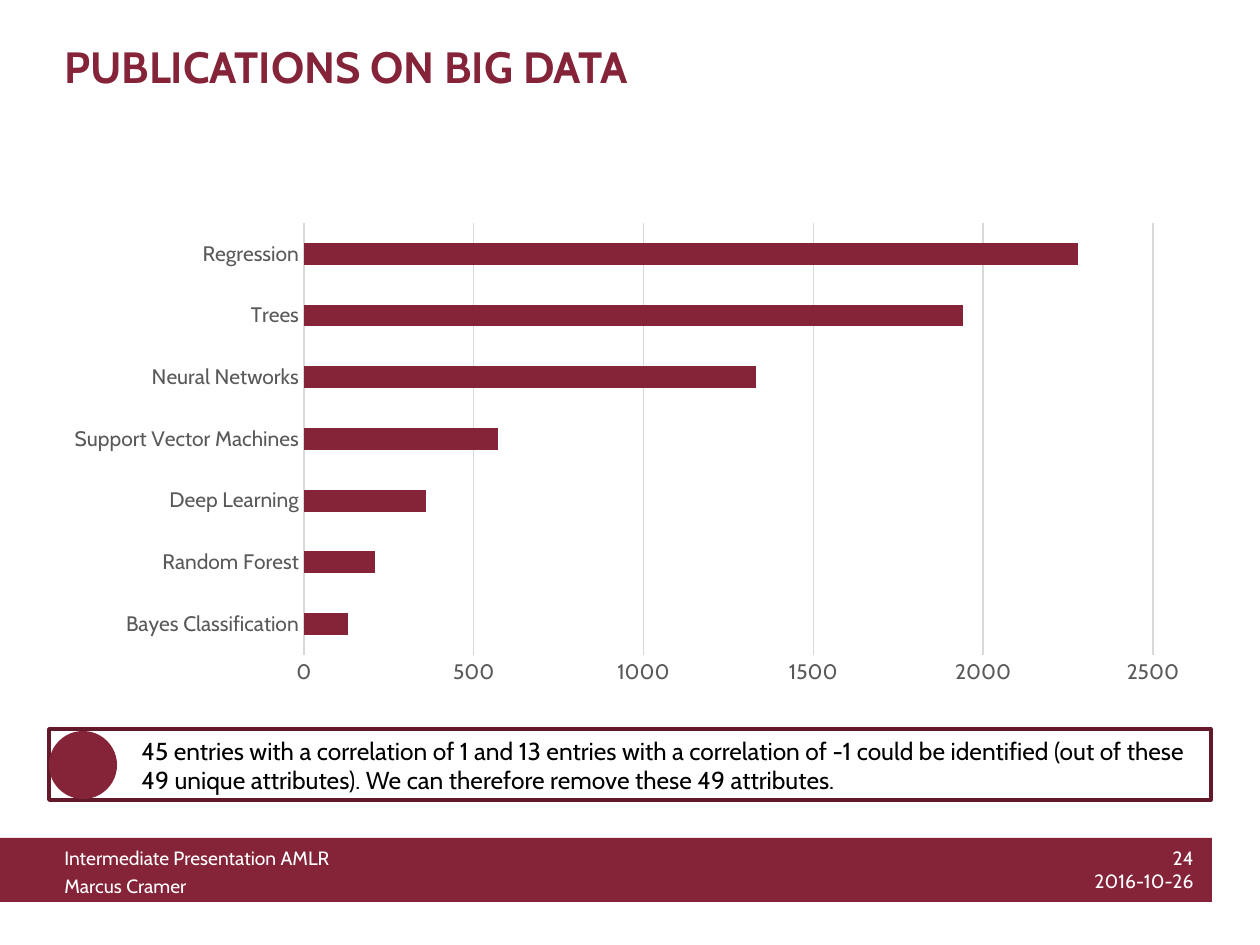
from lxml import etree
from pptx import Presentation
from pptx.chart.data import CategoryChartData
from pptx.dml.color import RGBColor
from pptx.enum.chart import XL_CHART_TYPE, XL_TICK_MARK
from pptx.enum.shapes import MSO_SHAPE
from pptx.enum.text import MSO_ANCHOR, PP_ALIGN
from pptx.oxml.ns import qn
from pptx.util import Pt

BAR_CLUSTERED = XL_CHART_TYPE.BAR_CLUSTERED
NO_TICKS = XL_TICK_MARK.NONE
RECTANGLE, OVAL = MSO_SHAPE.RECTANGLE, MSO_SHAPE.OVAL
TOP, MIDDLE = MSO_ANCHOR.TOP, MSO_ANCHOR.MIDDLE
LEFT, RIGHT = PP_ALIGN.LEFT, PP_ALIGN.RIGHT

EMU_PER_PX = 914400 / 126
FONT = "Cabin"
COLORS = {
    "wine": "852339",
    "border": "621A2A",
    "white": "FFFFFF",
    "black": "000000",
    "label": "595959",
    "grid": "D9D9D9",
}
CHART_BOX = (52, 213, 1152, 483)
PLOT_BOX = (304, 223, 849, 432)
PUBLICATIONS = {
    "Bayes Classification": 130,
    "Random Forest": 210,
    "Deep Learning": 360,
    "Support Vector Machines": 570,
    "Neural Networks": 1330,
    "Trees": 1940,
    "Regression": 2280,
}
FINDING = (
    "45 entries with a correlation of 1 and 13 entries with a correlation of -1 "
    "could be identified (out of these 49 unique attributes). "
    "We can therefore remove these 49 attributes."
)


def emu(*lengths):
    return [round(length * EMU_PER_PX) for length in lengths]


def color(name):
    return RGBColor.from_string(COLORS[name])


def set_all(target, values):
    for attribute, value in values.items():
        setattr(target, attribute, value)


def style_font(font, size, color_name, bold=False):
    set_all(font, {"name": FONT, "size": Pt(size), "bold": bold})
    font.color.rgb = color(color_name)


def style_line(line, color_name, width):
    line.color.rgb = color(color_name)
    line.width = Pt(width)


def add_preset(slide, kind, box, fill=None, border=None):
    shape = slide.shapes.add_shape(kind, *emu(*box))
    shape.shadow.inherit = False
    if fill:
        shape.fill.solid()
        shape.fill.fore_color.rgb = color(fill)
    else:
        shape.fill.background()
    if border:
        style_line(shape.line, border, 2)
    else:
        shape.line.fill.background()


def add_text(slide, box, paragraphs, size, color_name, bold=False,
             align=LEFT, anchor=TOP, space_after=0):
    frame = slide.shapes.add_textbox(*emu(*box)).text_frame
    set_all(frame, {"word_wrap": True, "vertical_anchor": anchor})
    frame.text = "\n".join(paragraphs)
    for paragraph in frame.paragraphs:
        set_all(paragraph, {"alignment": align, "space_after": Pt(space_after)})
        for run in paragraph.runs:
            style_font(run.font, size, color_name, bold)


def fix_plot_area(chart):
    """Place the inner plot area at PLOT_BOX within CHART_BOX."""
    left, top, width, height = CHART_BOX
    x, y, w, h = PLOT_BOX
    settings = {
        "layoutTarget": "inner",
        "xMode": "edge",
        "yMode": "edge",
        "x": (x - left) / width,
        "y": (y - top) / height,
        "w": w / width,
        "h": h / height,
    }
    plot_area = chart._chartSpace.chart.plotArea
    for old_layout in plot_area.findall(qn("c:layout")):
        plot_area.remove(old_layout)
    layout = etree.Element(qn("c:layout"))
    manual = etree.SubElement(layout, qn("c:manualLayout"))
    for tag, value in settings.items():
        etree.SubElement(manual, qn(f"c:{tag}")).set("val", str(value))
    plot_area.insert(0, layout)


def add_publications_chart(slide):
    data = CategoryChartData()
    data.categories = list(PUBLICATIONS)
    data.add_series("Series 1", list(PUBLICATIONS.values()))
    chart = slide.shapes.add_chart(BAR_CLUSTERED, *emu(*CHART_BOX), data).chart
    set_all(chart, {"has_legend": False, "has_title": False})
    style_font(chart.font, 10, "black")
    fix_plot_area(chart)

    plot = chart.plots[0]
    set_all(plot, {"gap_width": 182, "vary_by_categories": False})
    bars = plot.series[0].format
    bars.fill.solid()
    bars.fill.fore_color.rgb = color("wine")

    counts, methods = chart.value_axis, chart.category_axis
    for axis in (counts, methods):
        set_all(axis, {"major_tick_mark": NO_TICKS, "minor_tick_mark": NO_TICKS})
        style_font(axis.tick_labels.font, 12, "label")
    set_all(counts, {"minimum_scale": 0, "maximum_scale": 2500,
                     "major_unit": 500, "has_major_gridlines": True})
    counts.format.line.fill.background()
    for line in (counts.major_gridlines.format.line, methods.format.line):
        style_line(line, "grid", 0.75)


def add_footer(slide):
    add_preset(slide, RECTANGLE, (0, 838, 1212, 64), fill="wine")
    add_text(slide, (52, 840, 568, 64), ["Intermediate Presentation AMLR", "Marcus Cramer"],
             11, "white", space_after=3)
    add_text(slide, (1037, 840, 169, 59), ["24\v2016-10-26"],
             11, "white", align=RIGHT, space_after=3)


def add_finding(slide):
    add_preset(slide, RECTANGLE, (49, 729, 1162, 71), border="border")
    add_preset(slide, OVAL, (49, 731, 68, 68), fill="wine")
    add_text(slide, (129, 729, 1081, 72), [FINDING], 14, "black", anchor=MIDDLE)


def main():
    presentation = Presentation()
    width, height = emu(1260, 945)
    set_all(presentation, {"slide_width": width, "slide_height": height})
    slide = presentation.slides.add_slide(presentation.slide_layouts[6])
    add_footer(slide)
    add_text(slide, (52, 32, 896, 67), ["PUBLICATIONS ON BIG DATA"],
             25, "wine", bold=True, anchor=MIDDLE)
    add_finding(slide)
    add_publications_chart(slide)
    presentation.save("out.pptx")


if __name__ == "__main__":
    main()
